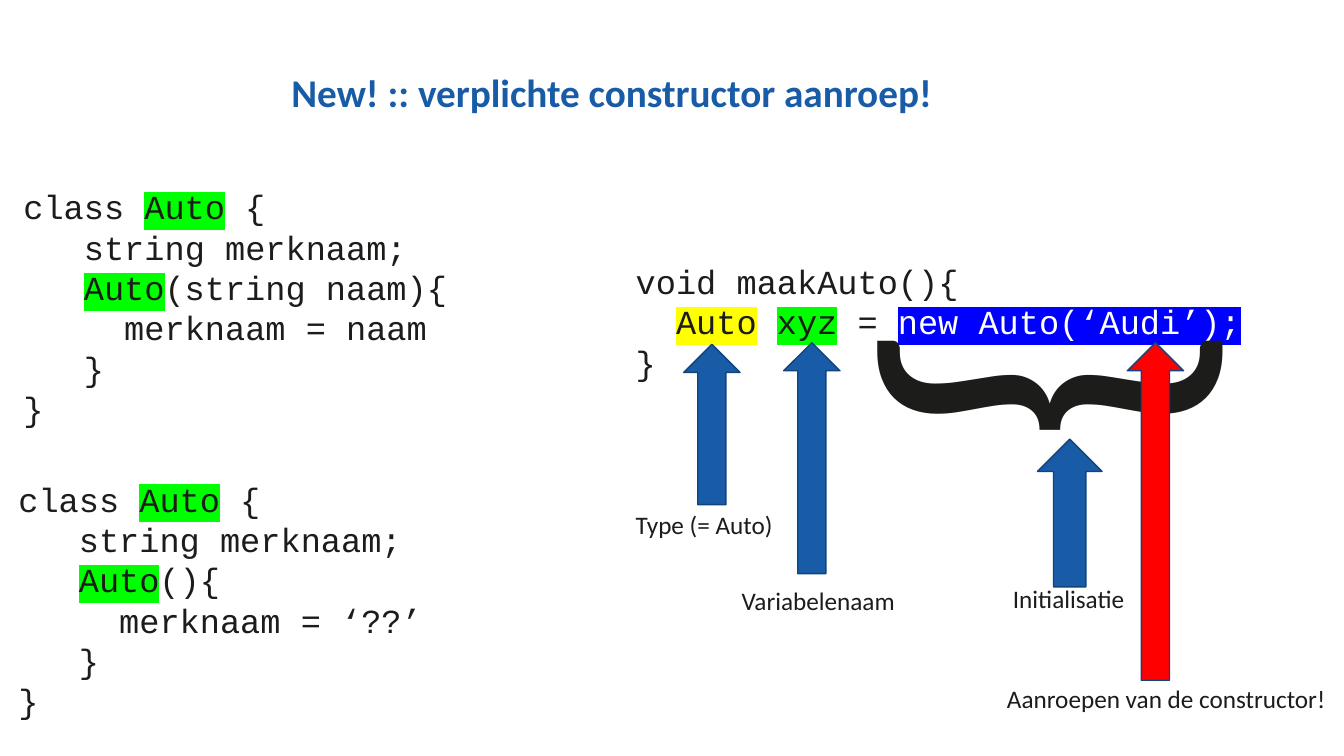
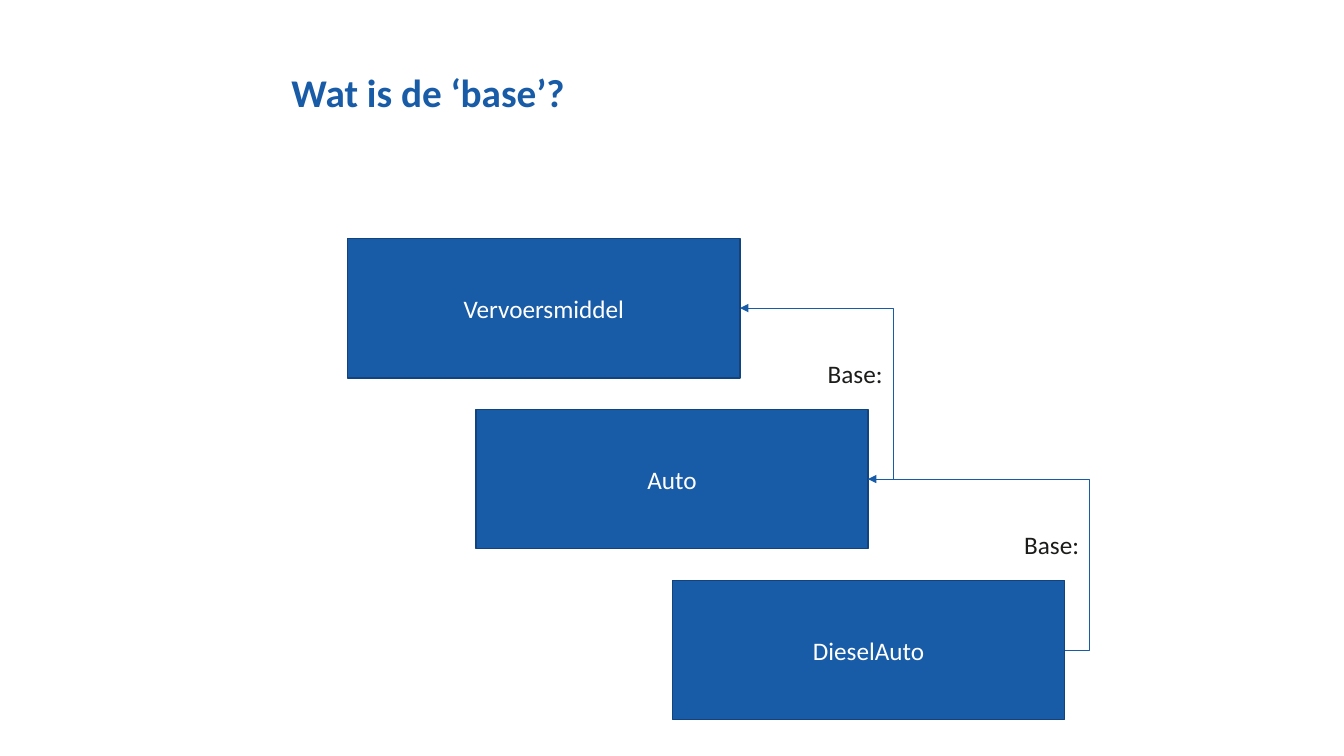
from dataclasses import dataclass
from lxml.etree import SubElement
from pptx import Presentation
from pptx.dml.color import RGBColor
from pptx.enum.shapes import MSO_CONNECTOR, MSO_SHAPE
from pptx.enum.text import MSO_ANCHOR, MSO_AUTO_SIZE, PP_ALIGN
from pptx.oxml.ns import qn
from pptx.util import Inches, Pt


@dataclass(frozen=True)
class Theme:
    blue: str = "185BA7"
    edge: str = "12437C"
    ink: str = "1C1C1A"
    white: str = "FFFFFF"
    red: str = "FF0000"
    green: str = "00FF00"
    yellow: str = "FFFF00"
    deep_blue: str = "0000FF"
    sans: str = "Calibri"
    mono: str = "Courier New"
    title_size: int = 28
    code_size: int = 24
    label_size: int = 18
    brace_size: int = 287


THEME = Theme()
COLUMNS = 160


class Deck:
    def __init__(self, theme):
        self.theme = theme
        self.prs = Presentation()
        self.prs.slide_width = Inches(13.33)
        self.prs.slide_height = Inches(7.5)
        self.cell = self.prs.slide_width / COLUMNS

    def grid(self, *cells):
        return [round(c * self.cell) for c in cells]

    def new_slide(self, title):
        self.s = self.prs.slides.add_slide(self.prs.slide_layouts[6])
        t = self.theme
        tf = self.textbox((34.7, 9, 112.7, 4.5), [[title]], t.title_size, t.blue, grow=False).text_frame
        tf.margin_left = tf.margin_right = tf.margin_top = tf.margin_bottom = 0
        tf.vertical_anchor = MSO_ANCHOR.MIDDLE
        tf.paragraphs[0].line_spacing = 0.9
        tf.paragraphs[0].font.bold = True

    def style(self, p, size, color, name):
        p.font.size = Pt(size)
        p.font.name = name
        p.font.color.rgb = RGBColor.from_string(color)

    def textbox(self, box, lines, size, color, name=None, wrap=True, grow=True):
        sp = self.s.shapes.add_textbox(*self.grid(*box))
        tf = sp.text_frame
        tf.word_wrap = wrap
        tf.auto_size = MSO_AUTO_SIZE.SHAPE_TO_FIT_TEXT if grow else MSO_AUTO_SIZE.NONE
        for i, line in enumerate(lines):
            p = tf.add_paragraph() if i else tf.paragraphs[0]
            self.style(p, size, color, name or self.theme.sans)
            for part in line:
                self.run(p, *([part] if isinstance(part, str) else part))
        return sp

    def run(self, p, text, highlight=None, color=None):
        r = p.add_run()
        r.text = text
        if color:
            r.font.color.rgb = RGBColor.from_string(color)
        if highlight:
            mark = SubElement(r._r.get_or_add_rPr(), qn("a:highlight"))
            SubElement(mark, qn("a:srgbClr")).set("val", highlight)

    def code(self, box, lines):
        t = self.theme
        self.textbox(box, lines, t.code_size, t.ink, t.mono)

    def label(self, x, y, width, text):
        t = self.theme
        self.textbox((x, y, width, 4.8), [[text]], t.label_size, t.ink, wrap=False)

    def brace(self, box):
        t = self.theme
        self.textbox(box, [["}"]], t.brace_size, t.ink).rotation = 90

    def shape(self, kind, box, fill):
        sp = self.s.shapes.add_shape(kind, *self.grid(*box))
        sp.shadow.inherit = False
        sp.fill.solid()
        sp.fill.fore_color.rgb = RGBColor.from_string(fill)
        sp.line.color.rgb = RGBColor.from_string(self.theme.edge)
        sp.line.width = Pt(1)
        return sp

    def arrow(self, box, fill):
        self.shape(MSO_SHAPE.UP_ARROW, box, fill)

    def class_box(self, box, text):
        t = self.theme
        sp = self.shape(MSO_SHAPE.RECTANGLE, box, t.blue)
        tf = sp.text_frame
        tf.vertical_anchor = MSO_ANCHOR.MIDDLE
        p = tf.paragraphs[0]
        p.text = text
        p.alignment = PP_ALIGN.CENTER
        self.style(p, t.label_size, t.white, t.sans)
        return sp

    def inherit_arrow(self, child, parent, overhang):
        cx = self.s.shapes.add_connector(MSO_CONNECTOR.ELBOW, 0, 0, 0, 0)
        cx.begin_connect(child, 3)
        cx.end_connect(parent, 3)
        cx.line.color.rgb = RGBColor.from_string(self.theme.blue)
        cx.line.width = Pt(0.5)
        props = cx._element.spPr
        SubElement(props.find(qn("a:ln")), qn("a:tailEnd")).set("type", "triangle")
        SubElement(props, qn("a:effectLst"))
        bend = round(-overhang * self.cell / cx.width * 100000)
        guide = SubElement(props.find(qn("a:prstGeom")).get_or_add_avLst(), qn("a:gd"))
        guide.set("name", "adj1")
        guide.set("fmla", f"val {bend}")


def class_code(signature, value):
    name = ("Auto", THEME.green)
    return [
        ["class ", name, " {"],
        ["   string merknaam;"],
        ["   ", name, signature + "{"],
        ["     merknaam = " + value],
        ["   }"],
        ["}"],
    ]


def constructor_slide(deck):
    t = deck.theme
    deck.new_slide("New! :: verplichte constructor aanroep!")
    deck.code((1.6, 21.6, 65, 30.3), class_code("(string naam)", "naam"))
    deck.code((1, 56.4, 65, 30.3), class_code("()", "‘??’"))
    deck.code((74.5, 30.5, 83.6, 15.7), [
        ["void maakAuto(){"],
        ["  ", ("Auto", t.yellow), " ", ("xyz", t.green), " = ",
         ("new Auto(‘Audi’);", t.deep_blue, t.white)],
        ["}"],
    ])
    deck.brace((123.2, 13.8, 13.3, 59.2))
    for arrow, fill, label in (
        ((81.4, 41, 6.7, 19.1), t.blue, (74.5, 60, 19, "Type (= Auto)")),
        ((93.3, 40.8, 6.7, 27.5), t.blue, (87.1, 69.1, 20.9, "Variabelenaam")),
        ((123.5, 52.3, 7.7, 17.6), t.blue, (119.4, 68.9, 15.8, "Initialisatie")),
        ((134.2, 40.8, 6.7, 40.2), t.red, (118.7, 80.8, 40.8, "Aanroepen van de constructor!")),
    ):
        deck.arrow(arrow, fill)
        deck.label(*label)


def base_slide(deck):
    width, height, top, step = 46.7, 16.6, 28.4, 20.35
    deck.new_slide("Wat is de ‘base’?")
    parent = None
    for i, (x, name) in enumerate(((41.4, "Vervoersmiddel"), (56.65, "Auto"), (80.05, "DieselAuto"))):
        y = top + i * step
        box = deck.class_box((x, y, width, height), name)
        if parent is not None:
            deck.inherit_arrow(box, parent, 3)
            deck.label(x + width - 6, y - 6.7, 9, "Base:")
        parent = box


def main():
    deck = Deck(THEME)
    constructor_slide(deck)
    base_slide(deck)
    deck.prs.save("out.pptx")


if __name__ == "__main__":
    main()
